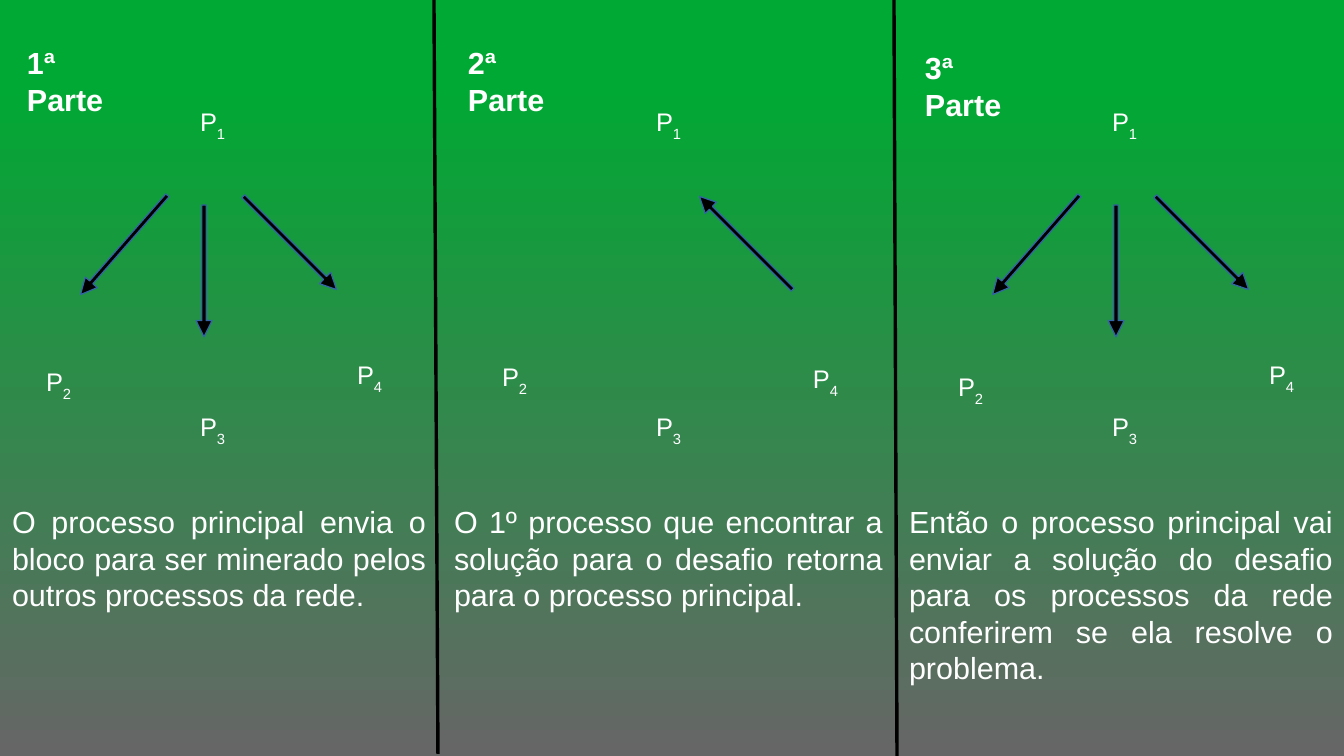
from lxml.etree import SubElement
from pptx import Presentation
from pptx.dml.color import RGBColor
from pptx.enum.shapes import MSO_CONNECTOR as Connector, MSO_SHAPE as Shape
from pptx.enum.text import MSO_AUTO_SIZE as AutoSize, PP_ALIGN as Align
from pptx.oxml.ns import qn
from pptx.util import Pt

EMU_PER_PX = 7495
COLUMN_PITCH = 456
SEND_ARROWS = [(282, 177, 315), (196, 205, 0), (116, 179, 41.2)]
RETURN_ARROWS = [(282, 177, 135)]
PARTS = [
    dict(heading="1ª Parte", heading_at=(15, 38), arrows=SEND_ARROWS,
         process_tops=(100, 360, 405, 353), body_box=(0, 497, 438, 115),
         body="O processo principal envia o bloco para ser minerado "
              "pelos outros processos da rede."),
    dict(heading="2ª Parte", heading_at=(456, 38), arrows=RETURN_ARROWS,
         process_tops=(100, 355, 405, 357), body_box=(442, 497, 453, 183),
         body="O 1º processo que encontrar a solução para o desafio "
              "retorna para o processo principal."),
    dict(heading="3ª Parte", heading_at=(913, 43), arrows=SEND_ARROWS,
         process_tops=(100, 365, 405, 353), body_box=(897, 497, 448, 183),
         body="Então o processo principal vai enviar a solução do desafio "
              "para os processos da rede conferirem se ela resolve o problema."),
]
PROCESS_LEFTS = (188, 34, 188, 345)
DIVIDERS = [(434, 0, 438, 754), (894, 0, 897, 756)]


def px(*lengths):
    """Turn pixel lengths into a list of EMU."""
    return [length * EMU_PER_PX for length in lengths]


def color(hex_code):
    """Return the colour for a hex string."""
    return RGBColor.from_string(hex_code)


def paint_background(page):
    """Fill the page with the green to grey gradient."""
    fill = page.background.fill
    fill.gradient()
    fill.gradient_angle = 270
    stops = zip(fill.gradient_stops, [(0.11, "00A933"), (1, "666666")])
    for stop, (position, hex_code) in stops:
        stop.position = position
        stop.color.rgb = color(hex_code)


def add_text(page, bounds, align=Align.LEFT, wrap=True):
    """Add an empty text box and return its paragraph."""
    box = page.shapes.add_textbox(*px(*bounds))
    box.text_frame.word_wrap = wrap
    box.text_frame.auto_size = AutoSize.SHAPE_TO_FIT_TEXT
    para = box.text_frame.paragraphs[0]
    para.alignment = align
    return para


def add_span(para, text, size, bold=False):
    """Add a white run to a paragraph."""
    span = para.add_run()
    span.text = text
    span.font.name = "Arial"
    span.font.size = Pt(size)
    span.font.bold = bold
    span.font.color.rgb = color("FFFFFF")
    return span


def add_process(page, number, left, top):
    """Add a process label with its subscript number."""
    para = add_text(page, (left, top, 57, 68))
    add_span(para, "P", 15)
    index = add_span(para, str(number), 15)
    index.font._element.set("baseline", "-33000")


def add_arrow(page, left, top, rotation):
    """Add a thin black block arrow, turned by the rotation."""
    arrow = page.shapes.add_shape(Shape.DOWN_ARROW, *px(left, top, 16, 132))
    arrow.adjustments[0] = 0.27
    arrow.adjustments[1] = 1.02
    arrow.rotation = rotation
    arrow.shadow.inherit = False
    arrow.fill.solid()
    arrow.fill.fore_color.rgb = color("000000")
    arrow.line.color.rgb = color("3465A4")
    arrow.line.width = Pt(0)


def add_divider(page, ends):
    """Add a black hairline between two columns."""
    divider = page.shapes.add_connector(Connector.STRAIGHT, *px(*ends))
    divider.line.color.rgb = color("000000")
    divider.line.width = Pt(0)
    SubElement(divider._element.spPr, qn("a:effectLst"))


def add_part(page, column, part):
    """Add one column: heading, process diagram and explanation."""
    heading = add_text(page, (*part["heading_at"], 137, 46), wrap=False)
    add_span(heading, part["heading"], 18, bold=True)
    offset = column * COLUMN_PITCH
    for left, top, rotation in part["arrows"]:
        add_arrow(page, offset + left, top, rotation)
    places = zip(PROCESS_LEFTS, part["process_tops"])
    for number, (left, top) in enumerate(places, start=1):
        add_process(page, number, offset + left, top)
    body = add_text(page, part["body_box"], Align.JUSTIFY)
    add_span(body, part["body"], 18)


def main():
    """Build the deck and save it."""
    deck = Presentation()
    deck.slide_width, deck.slide_height = px(1344, 756)
    page = deck.slides.add_slide(deck.slide_layouts[6])
    paint_background(page)
    for column, part in enumerate(PARTS):
        add_part(page, column, part)
    for ends in DIVIDERS:
        add_divider(page, ends)
    deck.save("out.pptx")


if __name__ == "__main__":
    main()
